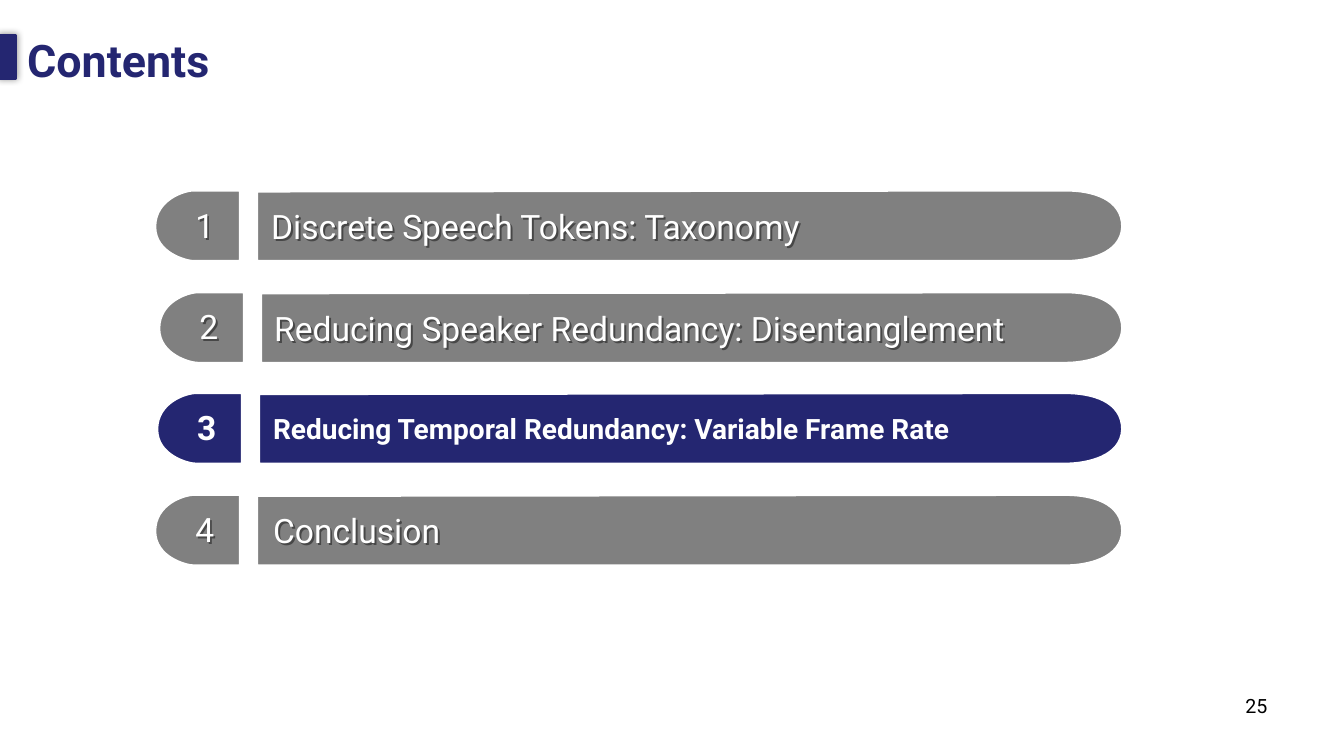
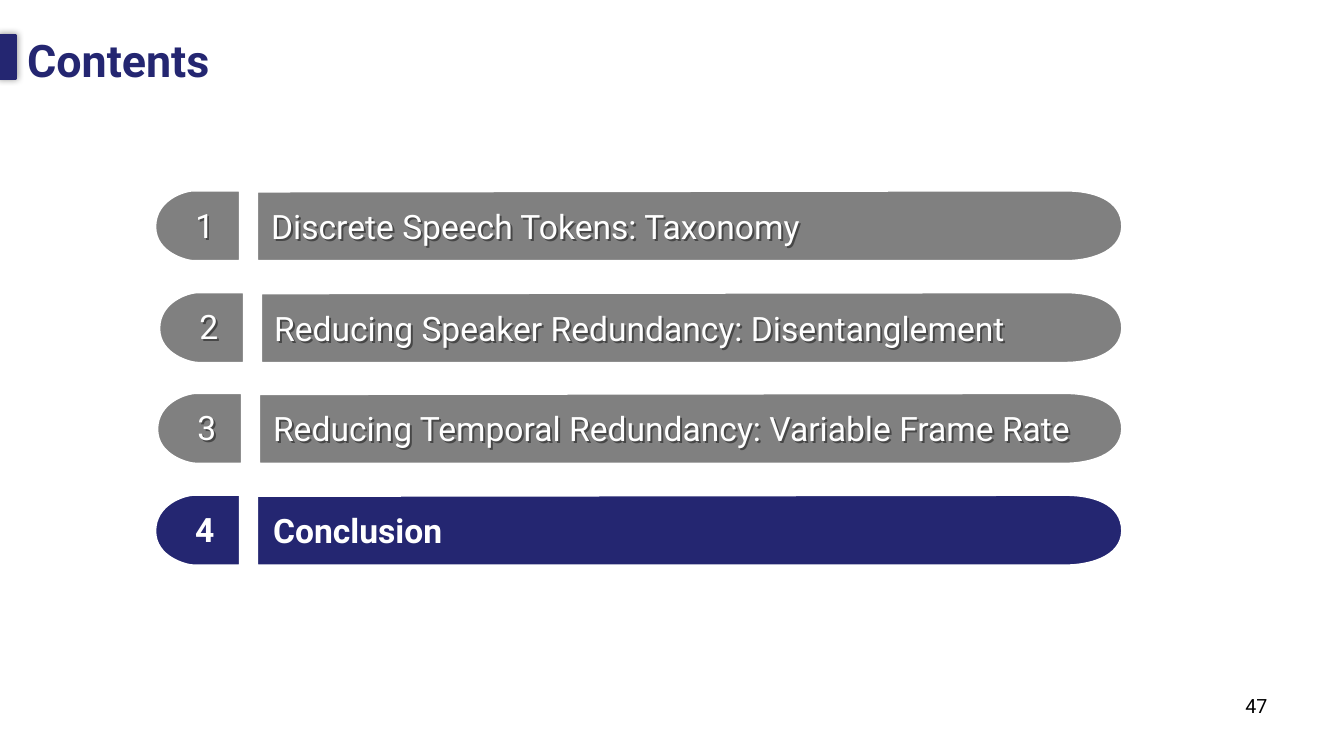
from lxml import etree
from pptx import Presentation
from pptx.dml.color import RGBColor
from pptx.enum.shapes import MSO_SHAPE as SHAPE
from pptx.enum.text import MSO_ANCHOR as ANCHOR, PP_ALIGN as ALIGN
from pptx.oxml.ns import qn
from pptx.util import Inches, Pt

NAVY = RGBColor(0x24, 0x26, 0x71)
GRAY = RGBColor(0x80, 0x80, 0x80)
WHITE = RGBColor(0xFF, 0xFF, 0xFF)
BLACK = RGBColor(0x00, 0x00, 0x00)
FONT = "Roboto"

ROW_RIGHT, ROW_H, TAB_W, BAR_DX = 11.13, 0.7, 0.84, 1.01
ROWS = [
    {"left": 1.54, "top": 1.89, "label_left": 2.59, "label_w": 6.16,
     "topic": "Discrete Speech Tokens: Taxonomy"},
    {"left": 1.58, "top": 2.9, "label_left": 2.62, "label_w": 7.75,
     "topic": "Reducing Speaker Redundancy: Disentanglement"},
    {"left": 1.56, "top": 3.9, "label_left": 2.61, "label_w": 8.45,
     "topic": "Reducing Temporal Redundancy: Variable Frame Rate"},
    {"left": 1.54, "top": 4.91, "label_left": 2.61, "label_w": 6.16,
     "topic": "Conclusion"},
]
AGENDAS = [
    {"page": 25, "current": 3, "current_size": 20},
    {"page": 47, "current": 4, "current_size": 24},
]


def add_shadow(sp, blur, dist, alpha):
    """Give a shape a black outer shadow."""
    sp.shadow.inherit = False
    effects = sp._element.spPr.find(qn("a:effectLst"))
    shadow = etree.SubElement(effects, qn("a:outerShdw"), blurRad=str(Pt(blur)),
                              dist=str(Pt(dist)), dir="2700000", algn="tl", rotWithShape="0")
    color = etree.SubElement(shadow, qn("a:srgbClr"), val="000000")
    etree.SubElement(color, qn("a:alpha"), val=str(alpha * 1000))


def add_text(shapes, box, text, size, color=WHITE, bold=False, align=ALIGN.LEFT,
             anchor=ANCHOR.TOP, inset=0.05, shadow=False):
    """Add a one-line text box."""
    sp = shapes.add_textbox(*map(Inches, box))
    tf = sp.text_frame
    frame = {"word_wrap": True, "vertical_anchor": anchor,
             "margin_top": Inches(inset), "margin_bottom": Inches(inset)}
    for name, value in frame.items():
        setattr(tf, name, value)
    p = tf.paragraphs[0]
    p.alignment = align
    r = p.add_run()
    r.text = text
    for name, value in {"name": FONT, "size": Pt(size), "bold": bold}.items():
        setattr(r.font, name, value)
    r.font.color.rgb = color
    if shadow:
        add_shadow(sp, 0, 2, 43)


def add_outline(shapes, left, top, corners, curves, color):
    """Add a closed outline: straight corners, then cubic curves of three points each."""
    points = corners + [point for curve in curves for point in curve]
    placed = [(Inches(left + x), Inches(top + y)) for x, y in points]
    builder = shapes.build_freeform(*placed[0])
    builder.add_line_segments(placed[1:], close=True)
    sp = builder.convert_to_shape()
    lines = list(sp._element.iter(qn("a:lnTo")))[len(corners) - 1:]
    for i in range(0, 3 * len(curves), 3):
        cubic = etree.Element(qn("a:cubicBezTo"))
        lines[i].addprevious(cubic)
        for line in lines[i:i + 3]:
            cubic.append(line[0])
            line.getparent().remove(line)
    sp.shadow.inherit = False
    sp.fill.solid()
    sp.fill.fore_color.rgb = color
    sp.line.color.rgb = WHITE
    sp.line.width = Pt(1.5)


def add_tab(shapes, left, top, color):
    """Draw the number tab, rounded on its left side."""
    w, h = TAB_W, ROW_H
    corners = [(w, 0), (w, h), (0.38, h)]
    curves = [[(0.31, h), (0, 0.62), (0, 0.36)], [(0, 0.09), (0.29, 0), (0.38, 0)]]
    add_outline(shapes, left, top, corners, curves, color)


def add_bar(shapes, left, top, color):
    """Draw the topic bar, rounded on its right side."""
    w, h = ROW_RIGHT - left, ROW_H
    corners = [(0, 0.01), (0, h)]
    curves = [[(0.29, h), (w - 0.78, h), (w - 0.56, h)],
              [(w - 0.35, h), (w - 0.01, 0.63), (w, 0.36)],
              [(w, 0.08), (w - 0.3, 0), (w - 0.56, 0)],
              [(w - 0.83, 0), (0.29, 0.01), (0, 0.01)]]
    add_outline(shapes, left, top, corners, curves, color)


def add_row(slide, number, is_current, size, left, top, label_left, label_w, topic):
    """Draw one agenda row as a group."""
    shapes = slide.shapes.add_group_shape().shapes
    color = NAVY if is_current else GRAY
    style = {"bold": is_current, "shadow": not is_current}
    label_h = 0.06 + size / 60
    label_top = top + 0.35 - label_h / 2
    add_bar(shapes, left + BAR_DX, top, color)
    add_tab(shapes, left, top, color)
    add_text(shapes, (left + 0.28, top + 0.09, 0.42, 0.5), str(number), 24,
             align=ALIGN.CENTER, **style)
    add_text(shapes, (label_left, label_top, label_w, label_h), topic, size,
             anchor=ANCHOR.MIDDLE, inset=0.03, **style)


def add_frame(slide, title, page):
    """Draw the title, its marker and the page number."""
    marker = slide.shapes.add_shape(SHAPE.RECTANGLE, *map(Inches, (-0.01, 0.35, 0.17, 0.43)))
    add_shadow(marker, 5, 0, 40)
    marker.fill.solid()
    marker.fill.fore_color.rgb = NAVY
    marker.line.color.rgb = NAVY
    marker.line.width = Pt(2)
    add_text(slide.shapes, (9.56, 6.83, 3.11, 0.52), str(page), 14, BLACK, align=ALIGN.RIGHT)
    add_text(slide.shapes, (0.17, -0.13, 12.95, 1.45), title, 32, NAVY, True,
             anchor=ANCHOR.MIDDLE)


def add_agenda(prs, page, current, current_size):
    """Add a contents slide with the current topic highlighted."""
    slide = prs.slides.add_slide(prs.slide_layouts[6])
    add_frame(slide, "Contents", page)
    for number, row in enumerate(ROWS, 1):
        is_current = number == current
        add_row(slide, number, is_current, current_size if is_current else 24, **row)


def main():
    """Build and save the presentation."""
    prs = Presentation()
    prs.slide_width, prs.slide_height = Inches(13.33), Inches(7.5)
    for agenda in AGENDAS:
        add_agenda(prs, **agenda)
    prs.save("out.pptx")


if __name__ == "__main__":
    main()
